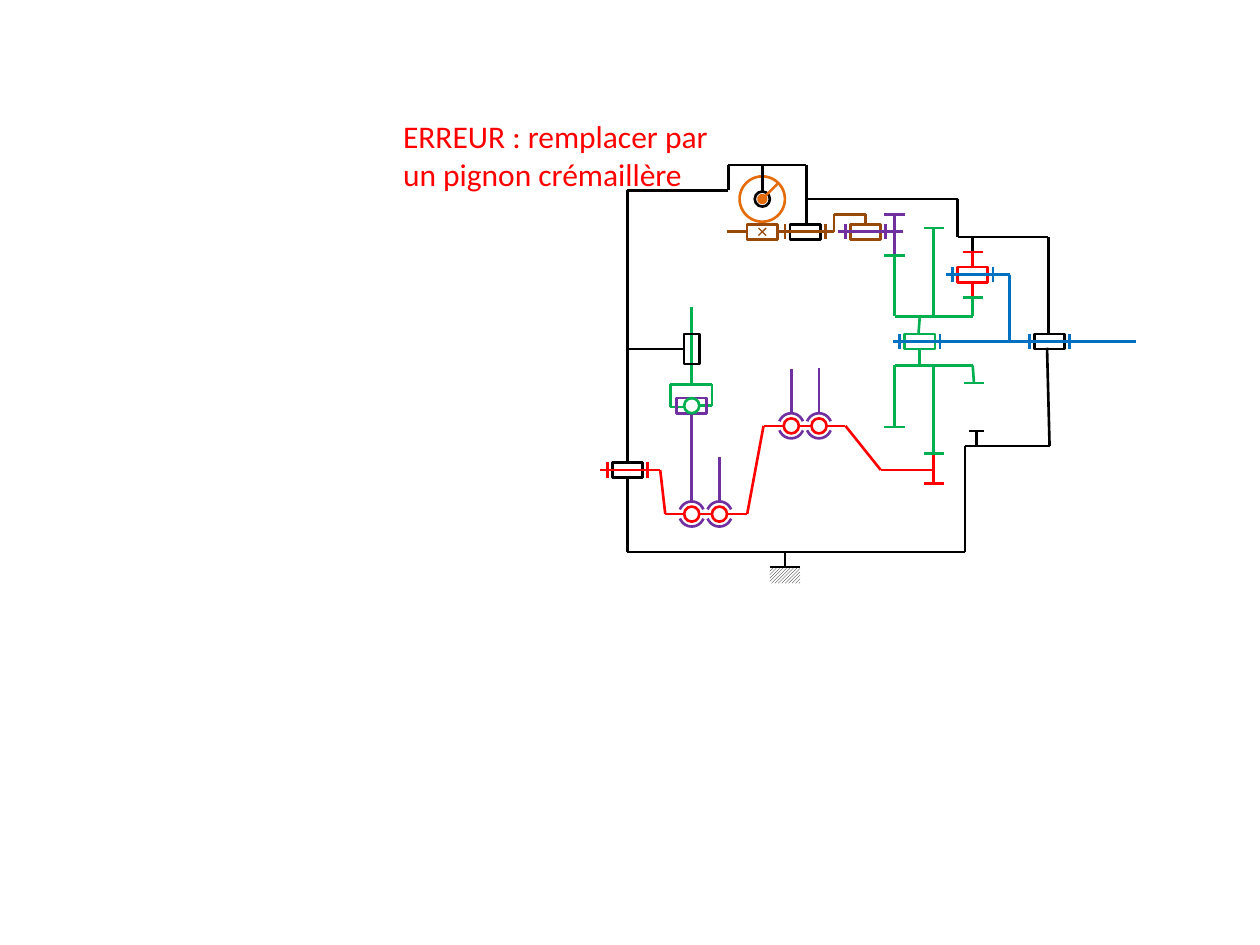
"""Draw the kinematic diagram of an engine and its transmission."""
from itertools import pairwise
from typing import NamedTuple, Optional

from lxml.etree import SubElement
from pptx import Presentation
from pptx.dml.color import RGBColor
from pptx.enum.dml import MSO_PATTERN
from pptx.enum.shapes import MSO_CONNECTOR, MSO_SHAPE
from pptx.enum.text import MSO_AUTO_SIZE
from pptx.oxml.ns import qn
from pptx.util import Emu, Pt

EMU_PER_PX = 9144

BLACK = RGBColor(0x00, 0x00, 0x00)
WHITE = RGBColor(0xFF, 0xFF, 0xFF)
RED = RGBColor(0xFF, 0x00, 0x00)
GREEN = RGBColor(0x00, 0xB0, 0x50)
BLUE = RGBColor(0x00, 0x70, 0xC0)
PURPLE = RGBColor(0x70, 0x30, 0xA0)
BROWN = RGBColor(0x98, 0x48, 0x07)
ORANGE = RGBColor(0xE4, 0x6C, 0x0A)

LOWER_ARC = (12.84, 95.47)
UPPER_ARC = (120.53, 203.16)


class Point(NamedTuple):
    """A position in px."""
    x: int
    y: int


class Route(NamedTuple):
    """A chain of straight members of one part."""
    color: RGBColor
    points: tuple


class Journal(NamedTuple):
    """A bearing: its housing, two collars and an optional shaft."""
    center: Point
    housing: RGBColor
    collar: RGBColor
    shaft: Optional[tuple] = None


class Tooth(NamedTuple):
    """The short bar at the rim of a gear."""
    center: Point
    color: RGBColor
    half: int = 8


JOURNALS = (
    Journal(Point(772, 218), RED, BLUE, (751, 802)),
    Journal(Point(639, 184), BLACK, BROWN, (618, 662)),
    Journal(Point(687, 184), BROWN, PURPLE, (665, 717)),
    Journal(Point(833, 271), BLACK, BLUE),
    Journal(Point(498, 373), BLACK, RED, (476, 524)),
    Journal(Point(730, 271), GREEN, BLUE, (709, 902)),
)
CRANKPINS = (Point(549, 408), Point(571, 408), Point(628, 338), Point(650, 338))
TEETH = (
    Tooth(Point(710, 170), PURPLE), Tooth(Point(710, 203), GREEN),
    Tooth(Point(741, 181), GREEN), Tooth(Point(772, 200), RED),
    Tooth(Point(772, 236), GREEN), Tooth(Point(710, 339), GREEN),
    Tooth(Point(773, 304), GREEN), Tooth(Point(741, 360), GREEN),
    Tooth(Point(741, 384), RED), Tooth(Point(775, 342), BLACK, 6),
)
GEARBOX = (
    Route(PURPLE, ((710, 203), (710, 170))),
    Route(BLACK, ((772, 200), (772, 189))),
    Route(BLUE, ((801, 218), (801, 271))),
    Route(GREEN, ((741, 360), (741, 290))),
    Route(GREEN, ((730, 290), (730, 277))),
    Route(GREEN, ((710, 339), (710, 290), (772, 290), (773, 304))),
    Route(GREEN, ((741, 182), (741, 251))),
    Route(GREEN, ((730, 251), (729, 265))),
    Route(GREEN, ((710, 203), (710, 251), (772, 251), (772, 236))),
    Route(RED, ((772, 212), (772, 200))),
    Route(RED, ((772, 235), (772, 223))),
    Route(BLACK, ((775, 353), (775, 342))),
)
CRANKSHAFT = (
    Route(RED, ((524, 373), (528, 408), (543, 408))),
    Route(RED, ((555, 408), (565, 408))),
    Route(RED, ((577, 408), (593, 408), (606, 338), (622, 338))),
    Route(RED, ((634, 338), (644, 338))),
    Route(RED, ((656, 338), (671, 338), (699, 373), (742, 373))),
    Route(RED, ((741, 384), (741, 359))),
)
RODS = (
    Route(PURPLE, ((549, 398), (549, 328))),
    Route(PURPLE, ((571, 398), (571, 363))),
    Route(PURPLE, ((628, 328), (628, 293))),
    Route(PURPLE, ((650, 328), (650, 292))),
)
PISTON = (
    Route(GREEN, ((549, 305), (549, 244))),
    Route(GREEN, ((543, 323), (532, 323), (532, 305), (565, 305), (565, 322), (555, 322))),
)
FRAME = (
    Route(BLACK, ((498, 379), (498, 438), (766, 438), (766, 354), (833, 354), (831, 276))),
    Route(BLACK, ((498, 367), (498, 151), (578, 151), (578, 131), (640, 131), (640, 178))),
    Route(BLACK, ((640, 158), (760, 158), (760, 188), (832, 188), (832, 265))),
    Route(BLACK, ((605, 131), (605, 152))),
    Route(BLACK, ((498, 277), (543, 277))),
    Route(BLACK, ((623, 449), (623, 438))),
)
WORM = (
    Route(BROWN, ((593, 184), (577, 184))),
    Route(BROWN, ((662, 184), (662, 170), (687, 170), (687, 179))),
)


def px(length: int) -> Emu:
    """Turn px into EMU."""
    return Emu(length * EMU_PER_PX)


def add_line(shapes, color: RGBColor, start, end, weight: float = 1.5):
    """Draw one straight member."""
    line = shapes.add_connector(MSO_CONNECTOR.STRAIGHT, *map(px, (*start, *end)))
    line.line.color.rgb = color
    line.line.width = Pt(weight)
    SubElement(line._element.spPr, qn("a:effectLst"))
    return line


def add_routes(shapes, routes) -> None:
    """Draw every member of the given routes."""
    for route in routes:
        for start, end in pairwise(route.points):
            add_line(shapes, route.color, start, end)


def add_outline(shapes, kind, color: RGBColor, center: Point, width: int, height: int):
    """Draw an unfilled shape around its center."""
    outline = shapes.add_shape(kind, px(center.x - width // 2), px(center.y - height // 2),
                               px(width), px(height))
    outline.shadow.inherit = False
    outline.fill.background()
    outline.line.color.rgb = color
    outline.line.width = Pt(1.5)
    return outline


def add_journal(shapes, journal: Journal) -> None:
    """Draw a bearing with its collars and shaft."""
    x, y = journal.center
    add_outline(shapes, MSO_SHAPE.RECTANGLE, journal.housing, journal.center, 24, 12)
    if journal.shaft:
        left, right = journal.shaft
        add_line(shapes, journal.collar, (left, y), (right, y))
    for collar_x in (x - 16, x + 16):
        add_line(shapes, journal.collar, (collar_x, y - 6), (collar_x, y + 6))


def add_crankpin(shapes, center: Point) -> None:
    """Draw a crankpin held between two socket arcs."""
    add_outline(shapes, MSO_SHAPE.OVAL, RED, center, 12, 12)
    for angles in (LOWER_ARC, UPPER_ARC):
        socket = add_outline(shapes, MSO_SHAPE.ARC, PURPLE, center, 20, 20)
        socket.adjustments[0], socket.adjustments[1] = angles


def add_wheel_and_worm(shapes) -> None:
    """Draw the wheel with its pivot above the worm."""
    hub, worm = Point(605, 158), Point(605, 184)
    add_outline(shapes, MSO_SHAPE.RECTANGLE, BROWN, worm, 24, 12)
    for slope in (-3, 3):
        add_line(shapes, BROWN, (worm.x - 3, worm.y - slope), (worm.x + 3, worm.y + slope), 0.75)
    add_outline(shapes, MSO_SHAPE.OVAL, ORANGE, hub, 36, 36)
    add_line(shapes, ORANGE, (hub.x - 3, hub.y), (hub.x + 4, hub.y), 0.75)
    add_line(shapes, ORANGE, (hub.x, hub.y - 3), (hub.x, hub.y + 4), 0.75)
    add_outline(shapes, MSO_SHAPE.OVAL, BLACK, hub, 12, 12)
    spoke = add_line(shapes, ORANGE, (618, 145), hub)
    SubElement(spoke.line._get_or_add_ln(), qn("a:tailEnd"), type="oval")


def add_ground(shapes) -> None:
    """Draw the hatched ground symbol."""
    ground = add_outline(shapes, MSO_SHAPE.RECTANGLE, BLACK, Point(623, 457), 24, 12)
    ground.line.fill.background()
    ground.fill.patterned()
    ground.fill.pattern = MSO_PATTERN.DARK_UPWARD_DIAGONAL
    ground.fill.fore_color.rgb = BLACK
    ground.fill.back_color.rgb = WHITE
    add_line(shapes, BLACK, (635, 450), (611, 450))


def add_remark(shapes) -> None:
    """Write the correction beside the wheel."""
    frame = shapes.add_textbox(px(310), px(88), px(262), px(71)).text_frame
    frame.word_wrap = True
    frame.auto_size = MSO_AUTO_SIZE.SHAPE_TO_FIT_TEXT
    remark = frame.paragraphs[0]
    remark.text = "ERREUR : remplacer par un pignon crémaillère"
    remark.font.name = "Calibri"
    remark.font.size = Pt(18)
    remark.font.color.rgb = RED


def main() -> None:
    """Build and save the slide."""
    deck = Presentation()
    deck.slide_width, deck.slide_height = px(1000), px(750)
    shapes = deck.slides.add_slide(deck.slide_layouts[6]).shapes
    for journal in JOURNALS:
        add_journal(shapes, journal)
    for pin in CRANKPINS:
        add_crankpin(shapes, pin)
    for routes in (CRANKSHAFT, PISTON, RODS, GEARBOX):
        add_routes(shapes, routes)
    add_outline(shapes, MSO_SHAPE.RECTANGLE, BLACK, Point(549, 277), 12, 24)
    add_outline(shapes, MSO_SHAPE.RECTANGLE, PURPLE, Point(549, 322), 24, 12)
    add_outline(shapes, MSO_SHAPE.OVAL, GREEN, Point(549, 322), 12, 12)
    for tooth in TEETH:
        x, y = tooth.center
        add_line(shapes, tooth.color, (x - tooth.half, y), (x + tooth.half, y))
    add_routes(shapes, WORM)
    add_wheel_and_worm(shapes)
    add_routes(shapes, FRAME)
    add_ground(shapes)
    add_remark(shapes)
    deck.save("out.pptx")


if __name__ == "__main__":
    main()
